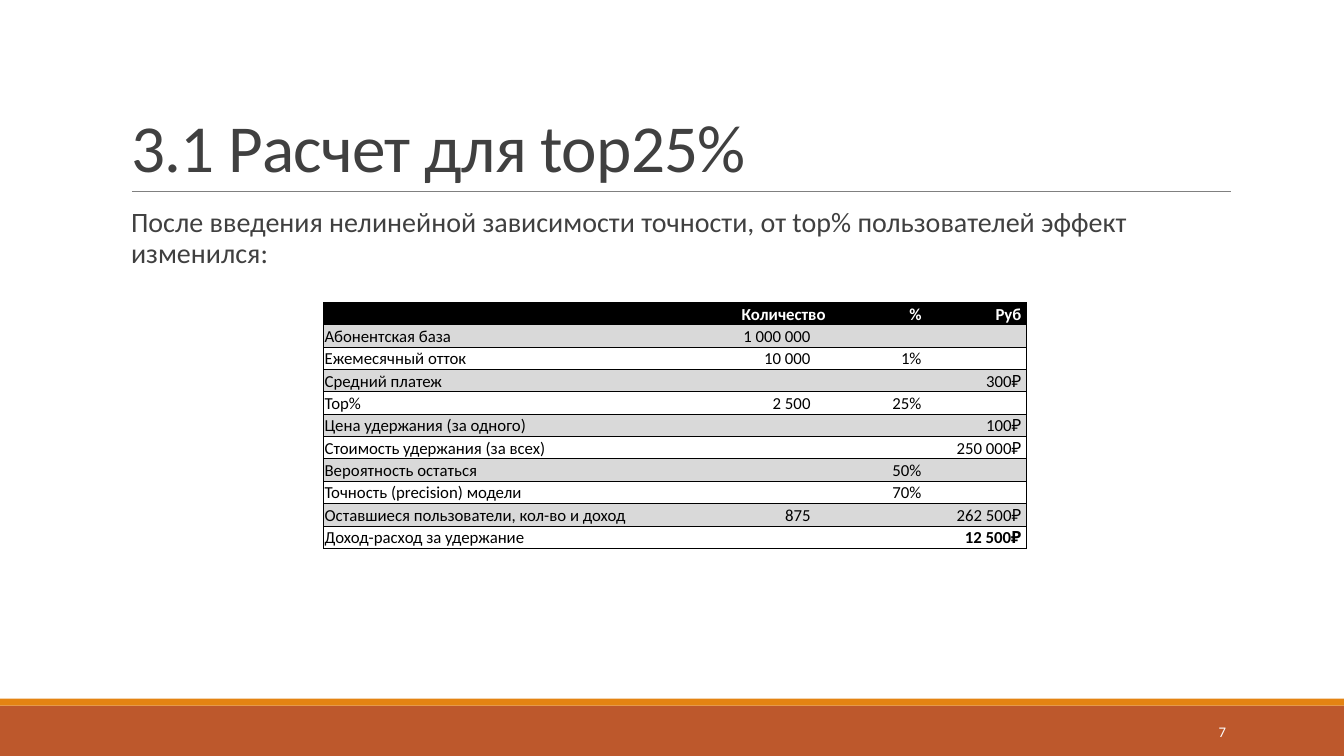
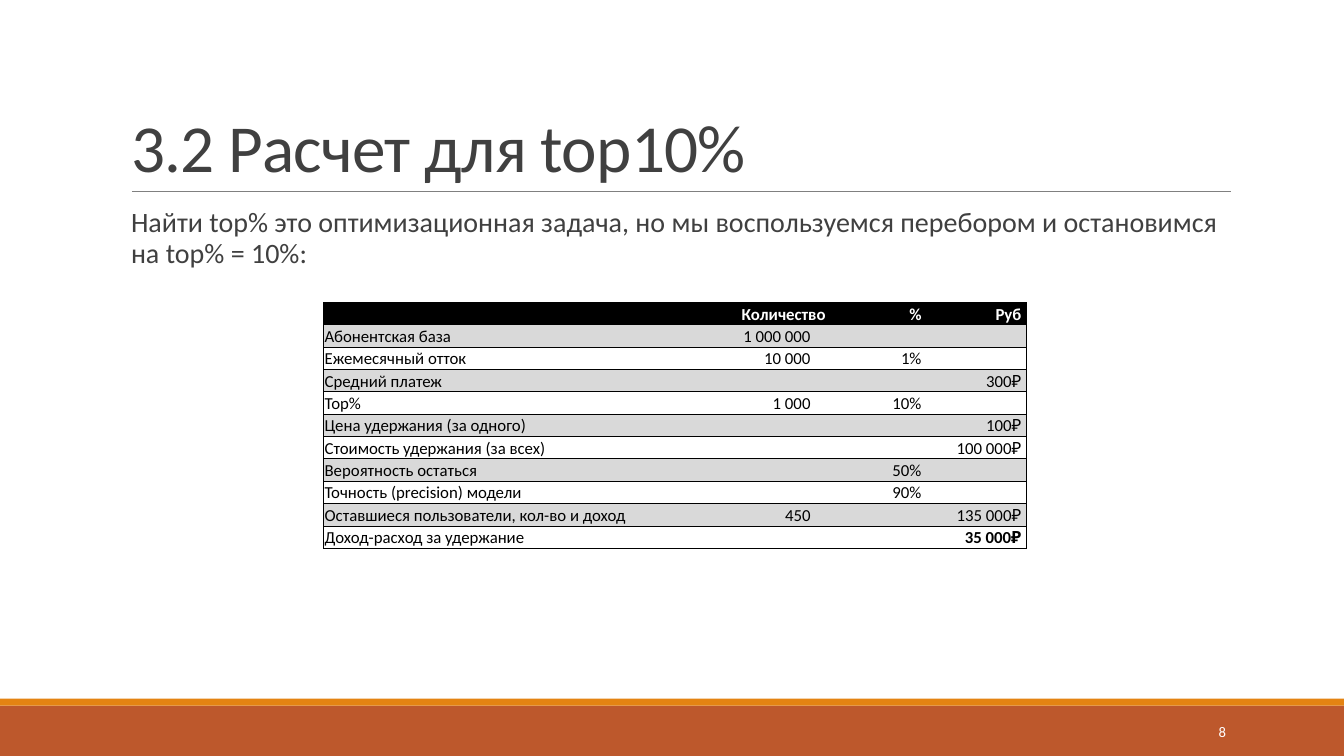
from dataclasses import dataclass, field
from typing import Any

import pptx
import pptx.dml.color
import pptx.enum.shapes
import pptx.enum.text
import pptx.oxml
import pptx.oxml.ns
import pptx.presentation
import pptx.shapes.autoshape
import pptx.slide
import pptx.table
import pptx.text.text
import pptx.util

Anchor = pptx.enum.text.MSO_ANCHOR
Align = pptx.enum.text.PP_ALIGN
Point = pptx.util.Pt
Inches = pptx.util.Inches
NO_STYLE = "{2D5ABB26-0587-4C30-8999-92F81FD0307C}"


@dataclass(frozen=True)
class Theme:
    font: str = "Calibri"
    text: str = "404040"
    black: str = "000000"
    white: str = "FFFFFF"
    stripe: str = "D9D9D9"
    rule: str = "808080"
    band: str = "BD582C"
    accent: str = "E48312"
    title_size: float = 48
    body_size: float = 20
    table_size: float = 12
    number_size: float = 10.5
    line_width: float = 0.5


@dataclass(frozen=True)
class Grid:
    width: float = 13.33
    height: float = 7.5
    columns: int = 100
    rows: int = 100

    def x(self, columns: float) -> int:
        return Inches(self.width * columns / self.columns)

    def y(self, rows: float) -> int:
        return Inches(self.height * rows / self.rows)


@dataclass(frozen=True)
class Box:
    left: float
    top: float
    width: float
    height: float

    def placed(self) -> dict[str, int]:
        return {
            "left": GRID.x(self.left),
            "top": GRID.y(self.top),
            "width": GRID.x(self.width),
            "height": GRID.y(self.height),
        }


@dataclass(frozen=True)
class Band:
    box: Box
    color: str


@dataclass(frozen=True)
class TableColumn:
    width: float
    header: str
    alignment: Any
    header_margin: float
    body_margin: float


@dataclass(frozen=True)
class Row:
    label: str
    amount: str = ""
    percent: str = ""
    rubles: str = ""
    bold_rubles: bool = False

    def texts(self) -> list[str]:
        return [self.label, self.amount, self.percent, self.rubles]


@dataclass(frozen=True)
class Scenario:
    number: int
    title: str
    lead: str
    top_percent: int
    precision: int
    subscribers: int = 1_000_000
    churn_percent: int = 1
    payment: int = 300
    retention_price: int = 100
    stay_percent: int = 50

    def rows(self) -> list[Row]:
        churn = self.subscribers * self.churn_percent // 100
        targeted = churn * self.top_percent // 100
        cost = targeted * self.retention_price
        retained = targeted * self.stay_percent * self.precision // 10_000
        income = retained * self.payment
        return [
            Row("Абонентская база", grouped(self.subscribers)),
            Row("Ежемесячный отток", grouped(churn), f"{self.churn_percent}%"),
            Row("Средний платеж", rubles=money(self.payment)),
            Row("Top%", grouped(targeted), f"{self.top_percent}%"),
            Row("Цена удержания (за одного)", rubles=money(self.retention_price)),
            Row("Стоимость удержания (за всех)", rubles=money(cost)),
            Row("Вероятность остаться", percent=f"{self.stay_percent}%"),
            Row("Точность (precision) модели", percent=f"{self.precision}%"),
            Row("Оставшиеся пользователи, кол-во и доход", grouped(retained), rubles=money(income)),
            Row("Доход-расход за удержание", rubles=money(income - cost), bold_rubles=True),
        ]


@dataclass(frozen=True)
class TextStyle:
    size: float
    color: str
    bold: bool = False
    paragraph: dict[str, Any] = field(default_factory=dict)


THEME = Theme()
GRID = Grid()
TITLE_BOX = Box(9, 4.13, 82.5, 21.2)
BODY_BOX = Box(9, 26.93, 82.5, 58.67)
TABLE_BOX = Box(24.08, 40, 52.29, 32.53)
NUMBER_BOX = Box(81.23, 94.13, 10.73, 5.33)
RULE = Box(9.82, 25.33, 81.76, 0)
BANDS = [
    Band(Box(0, 93.33, 100, 6.67), THEME.band),
    Band(Box(0, 92.4, 100, 0.93), THEME.accent),
]
TABLE_COLUMNS = [
    TableColumn(27.38, "", Align.LEFT, 0.01, 0.01),
    TableColumn(10.35, "Количество", Align.RIGHT, 0.05, 0.2),
    TableColumn(6.83, "%", Align.RIGHT, 0.01, 0.01),
    TableColumn(7.73, "Руб", Align.RIGHT, 0.05, 0.05),
]
TITLE_STYLE = TextStyle(THEME.title_size, THEME.text, paragraph={
    "alignment": Align.LEFT, "line_spacing": 0.85, "space_before": Point(0)})
BODY_STYLE = TextStyle(THEME.body_size, THEME.text, paragraph={
    "alignment": Align.LEFT, "line_spacing": 0.9,
    "space_before": Point(12), "space_after": Point(2)})
NUMBER_STYLE = TextStyle(THEME.number_size, THEME.white, paragraph={"alignment": Align.RIGHT})
SCENARIOS = [
    Scenario(7, "3.1 Расчет для top25%",
             "После введения нелинейной зависимости точности, от top% пользователей эффект изменился:",
             25, 70),
    Scenario(8, "3.2 Расчет для top10%",
             "Найти top% это оптимизационная задача, но мы воспользуемся перебором "
             "и остановимся на top% = 10%:",
             10, 90),
]


def grouped(value: int) -> str:
    return f"{value:,}".replace(",", "\u00a0")


def money(value: int) -> str:
    return grouped(value) + "₽"


def rgb(color: str) -> pptx.dml.color.RGBColor:
    return pptx.dml.color.RGBColor.from_string(color)


def apply(target: Any, values: dict[str, Any]) -> None:
    for name, value in values.items():
        setattr(target, name, value)


def write(frame: pptx.text.text.TextFrame, text: str, style: TextStyle) -> pptx.text.text._Run:
    paragraph = frame.paragraphs[0]
    apply(paragraph, style.paragraph)
    run = paragraph.add_run()
    run.text = text
    apply(run.font, {"name": THEME.font, "size": Point(style.size), "bold": style.bold})
    run.font.color.rgb = rgb(style.color)
    return run


def draw_band(slide: pptx.slide.Slide, band: Band) -> pptx.shapes.autoshape.Shape:
    shape = slide.shapes.add_shape(
        pptx.enum.shapes.MSO_SHAPE.RECTANGLE, **band.box.placed())
    shape.shadow.inherit = False
    shape.fill.solid()
    shape.fill.fore_color.rgb = rgb(band.color)
    shape.line.fill.background()
    return shape


def draw_rule(slide: pptx.slide.Slide) -> Any:
    y = GRID.y(RULE.top)
    connector = slide.shapes.add_connector(
        pptx.enum.shapes.MSO_CONNECTOR.STRAIGHT,
        GRID.x(RULE.left), y, GRID.x(RULE.left + RULE.width), y)
    connector.line.color.rgb = rgb(THEME.rule)
    connector.line.width = Point(THEME.line_width)
    connector.element.spPr.append(
        pptx.oxml.parse_xml(f'<a:effectLst {pptx.oxml.ns.nsdecls("a")}/>'))
    return connector


def decorate_layout(layout: pptx.slide.SlideLayout, slide: pptx.slide.Slide) -> None:
    decorations = [draw_band(slide, band) for band in BANDS] + [draw_rule(slide)]
    for index, shape in enumerate(decorations):
        shape.element.xpath(".//p:cNvPr")[0].set("id", str(100 + index))
        layout.shapes.element.insert(2 + index, shape.element)


def add_heading(slide: pptx.slide.Slide, scenario: Scenario) -> None:
    title, body = slide.shapes.title, slide.placeholders[1]
    fixed = {"word_wrap": True, "auto_size": pptx.enum.text.MSO_AUTO_SIZE.NONE}
    apply(title, TITLE_BOX.placed())
    apply(title.text_frame, fixed | {"vertical_anchor": Anchor.BOTTOM})
    run = write(title.text_frame, scenario.title, TITLE_STYLE)
    run.font._element.set("spc", "-50")

    apply(body, BODY_BOX.placed())
    apply(body.text_frame, fixed | {
        "vertical_anchor": Anchor.TOP, "margin_left": 0, "margin_right": 0})
    write(body.text_frame, scenario.lead, BODY_STYLE)
    properties = body.text_frame.paragraphs[0]._p.get_or_add_pPr()
    apply_indent = {"marL": str(Inches(0.1)), "indent": "0"}
    for name, value in apply_indent.items():
        properties.set(name, value)
    properties.append(pptx.oxml.parse_xml(f'<a:buNone {pptx.oxml.ns.nsdecls("a")}/>'))


def add_borders(cell: pptx.table._Cell, sides: str) -> None:
    properties = cell._tc.get_or_add_tcPr()
    for index, side in enumerate("LRTB"):
        paint = (f'<a:solidFill><a:srgbClr val="{THEME.black}"/></a:solidFill>'
                 if side in sides else "<a:noFill/>")
        properties.insert(index, pptx.oxml.parse_xml(
            f'<a:ln{side} {pptx.oxml.ns.nsdecls("a")} w="{Point(THEME.line_width)}">'
            f"{paint}</a:ln{side}>"))


def fill_cell(cell: pptx.table._Cell, text: str, column: TableColumn,
              row_index: int, bold: bool) -> None:
    header = row_index == 0
    apply(cell, {
        "vertical_anchor": Anchor.BOTTOM,
        "margin_left": Inches(0.01),
        "margin_top": Inches(0.01),
        "margin_right": Inches(column.header_margin if header else column.body_margin),
        "margin_bottom": 0,
    })
    if header or row_index % 2:
        cell.fill.solid()
        cell.fill.fore_color.rgb = rgb(THEME.black if header else THEME.stripe)
    else:
        cell.fill.background()
    if text:
        color = THEME.white if header else THEME.black
        write(cell.text_frame, text, TextStyle(
            THEME.table_size, color, bold, {"alignment": column.alignment}))
    else:
        cell.text_frame.paragraphs[0]._p.append(pptx.oxml.parse_xml(
            f'<a:endParaRPr {pptx.oxml.ns.nsdecls("a")} sz="{int(THEME.table_size * 100)}"/>'))


def add_calculation(slide: pptx.slide.Slide, rows: list[Row]) -> None:
    header = [column.header for column in TABLE_COLUMNS]
    lines = [header] + [row.texts() for row in rows]
    table = slide.shapes.add_table(
        len(lines), len(TABLE_COLUMNS), **TABLE_BOX.placed()).table
    table._tbl.tblPr.find(pptx.oxml.ns.qn("a:tableStyleId")).text = NO_STYLE
    apply(table, {"first_row": False, "horz_banding": False})
    for row in table.rows:
        row.height = GRID.y(TABLE_BOX.height / len(lines))
    last = len(TABLE_COLUMNS) - 1
    for column_index, column in enumerate(TABLE_COLUMNS):
        table.columns[column_index].width = GRID.x(column.width)
        sides = "TB" + {0: "L", last: "R"}.get(column_index, "")
        for row_index, texts in enumerate(lines):
            bold = row_index == 0 or (column_index == last and rows[row_index - 1].bold_rubles)
            cell = table.cell(row_index, column_index)
            fill_cell(cell, texts[column_index], column, row_index, bold)
            add_borders(cell, sides)


def add_number(slide: pptx.slide.Slide, number: int) -> None:
    frame = slide.shapes.add_textbox(**NUMBER_BOX.placed()).text_frame
    apply(frame, {"word_wrap": True, "vertical_anchor": Anchor.MIDDLE})
    write(frame, str(number), NUMBER_STYLE)


def build() -> pptx.presentation.Presentation:
    presentation = pptx.Presentation()
    apply(presentation, {"slide_width": GRID.x(GRID.columns), "slide_height": GRID.y(GRID.rows)})
    layout = presentation.slide_layouts[1]
    for scenario in SCENARIOS:
        slide = presentation.slides.add_slide(layout)
        if scenario is SCENARIOS[0]:
            decorate_layout(layout, slide)
        add_heading(slide, scenario)
        add_calculation(slide, scenario.rows())
        add_number(slide, scenario.number)
    return presentation


build().save("out.pptx")
